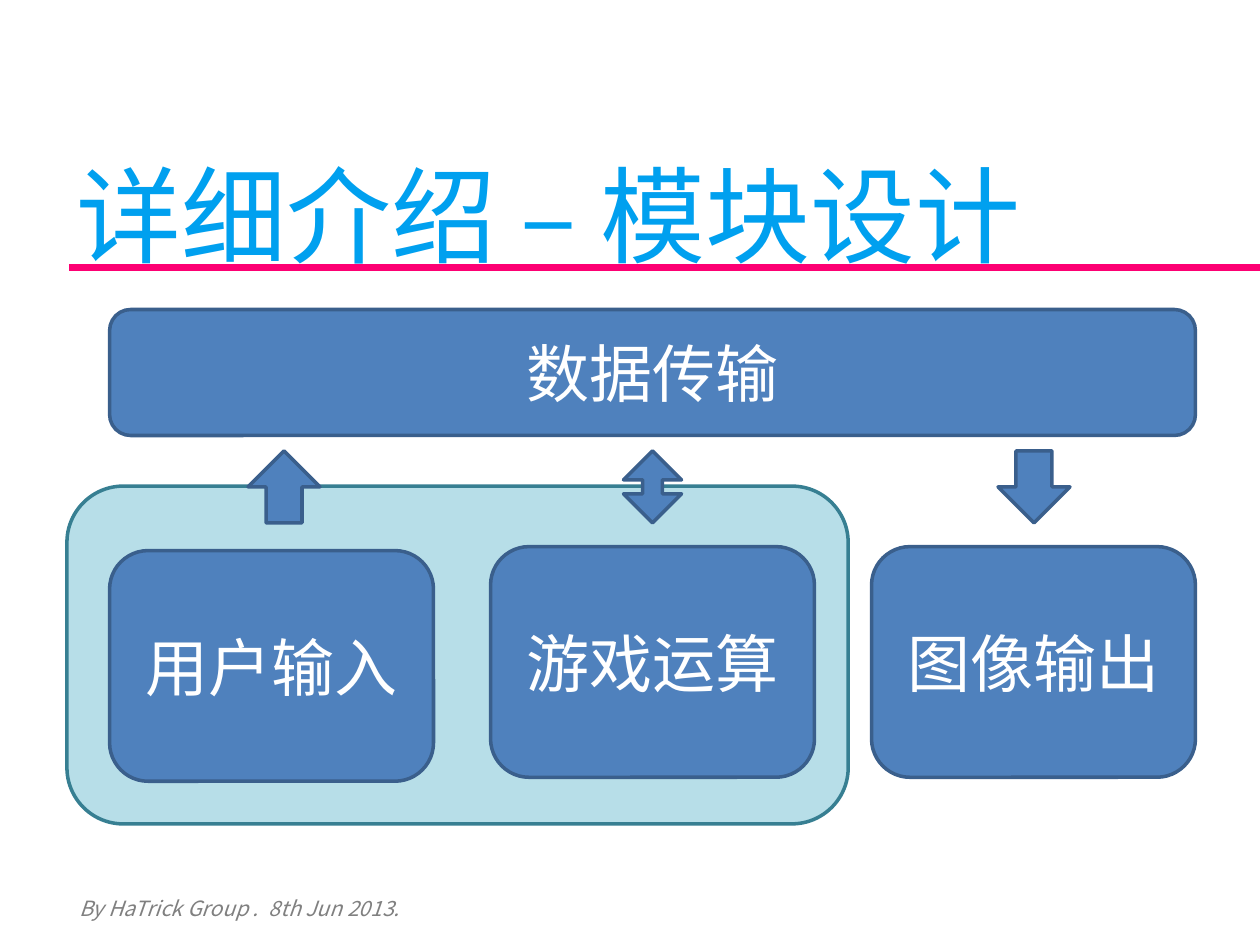
"""Build the module design slide."""
import pptx
import pptx.dml.color
import pptx.enum.shapes
import pptx.enum.text
import pptx.oxml.ns
import pptx.util
import lxml.etree

Cm = pptx.util.Cm
Pt = pptx.util.Pt
RGBColor = pptx.dml.color.RGBColor
KIND = pptx.enum.shapes.MSO_SHAPE
qn = pptx.oxml.ns.qn

WHITE = RGBColor(0xFF, 0xFF, 0xFF)
SKY = RGBColor(0x00, 0xA0, 0xEF)
PINK = RGBColor(0xFD, 0x00, 0x73)
GRAY = RGBColor(0x80, 0x80, 0x80)
BLUE = RGBColor(0x4F, 0x81, 0xBD)
NAVY = RGBColor(0x3A, 0x5F, 0x8C)
AQUA = RGBColor(0xB7, 0xDE, 0xE8)
TEAL = RGBColor(0x37, 0x7F, 0x92)
NOTO = "Noto Sans CJK SC"

deck = pptx.Presentation()
deck.slide_width = Cm(25.4)
deck.slide_height = Cm(19.05)
slide = deck.slides.add_slide(deck.slide_layouts[6])
shapes = slide.shapes


def add_run(para, text, size, color, face):
    run = para.add_run()
    run.text = text
    run.font.size = Pt(size)
    run.font.color.rgb = color
    run.font.name = face
    props = run.font._element
    lxml.etree.SubElement(props, qn("a:ea")).set("typeface", NOTO)
    return run


def add_block(kind, left, top, width, height, fill=BLUE, edge=NAVY, text=""):
    block = shapes.add_shape(kind, Cm(left), Cm(top), Cm(width), Cm(height))
    block.shadow.inherit = False
    block.fill.solid()
    block.fill.fore_color.rgb = fill
    block.line.color.rgb = edge
    block.line.width = Pt(2)
    if text:
        frame = block.text_frame
        frame.word_wrap = True
        frame.vertical_anchor = pptx.enum.text.MSO_ANCHOR.MIDDLE
        para = frame.paragraphs[0]
        para.alignment = pptx.enum.text.PP_ALIGN.CENTER
        add_run(para, text, 36, WHITE, "Calibri")
    return block


rule = shapes.add_connector(
    pptx.enum.shapes.MSO_CONNECTOR.STRAIGHT, Cm(1.4), Cm(5.39), Cm(25.53), Cm(5.39))
rule.line.color.rgb = PINK
rule.line.width = Pt(4)
lxml.etree.SubElement(rule._element.spPr, qn("a:effectLst"))

title = shapes.add_textbox(Cm(1.55), Cm(2.54), Cm(19.5), Cm(3.2)).text_frame
title.word_wrap = False
title.auto_size = pptx.enum.text.MSO_AUTO_SIZE.SHAPE_TO_FIT_TEXT
title.margin_left = title.margin_right = title.margin_top = 0
title.margin_bottom = Cm(0.13)
para = title.paragraphs[0]
para.line_spacing = Pt(86)
add_run(para, "详细介绍 – 模块设计", 60, SKY, NOTO)

foot = shapes.add_textbox(Cm(1.35), Cm(17.93), Cm(7.2), Cm(0.77)).text_frame
foot.word_wrap = True
foot.auto_size = pptx.enum.text.MSO_AUTO_SIZE.SHAPE_TO_FIT_TEXT
for text, gap in (("By HaTrick Group ", 0), (".", 300), (" 8th Jun 2013.", 0)):
    run = add_run(foot.paragraphs[0], text, 12, GRAY, NOTO)
    run.font.italic = True
    run.font._element.set("spc", str(gap))

add_block(KIND.ROUNDED_RECTANGLE, 1.35, 9.8, 15.75, 6.81, AQUA, TEAL)
for col, (text, top) in enumerate(
        (("用户输入", 11.1), ("游戏运算", 11.02), ("图像输出", 11.02))):
    add_block(KIND.ROUNDED_RECTANGLE, 2.21 + 7.68 * col, top, 6.53, 4.65, text=text)
add_block(KIND.ROUNDED_RECTANGLE, 2.21, 6.24, 21.89, 2.54, text="数据传输")

rise = add_block(KIND.DOWN_ARROW, 5, 9.09, 1.45, 1.45)
rise.rotation = 180
both = add_block(KIND.UP_DOWN_ARROW, 12.57, 9.09, 1.17, 1.45)
both.adjustments[0] = 0.42
both.adjustments[1] = 0.34
add_block(KIND.DOWN_ARROW, 20.12, 9.09, 1.45, 1.45)

deck.save("out.pptx")
